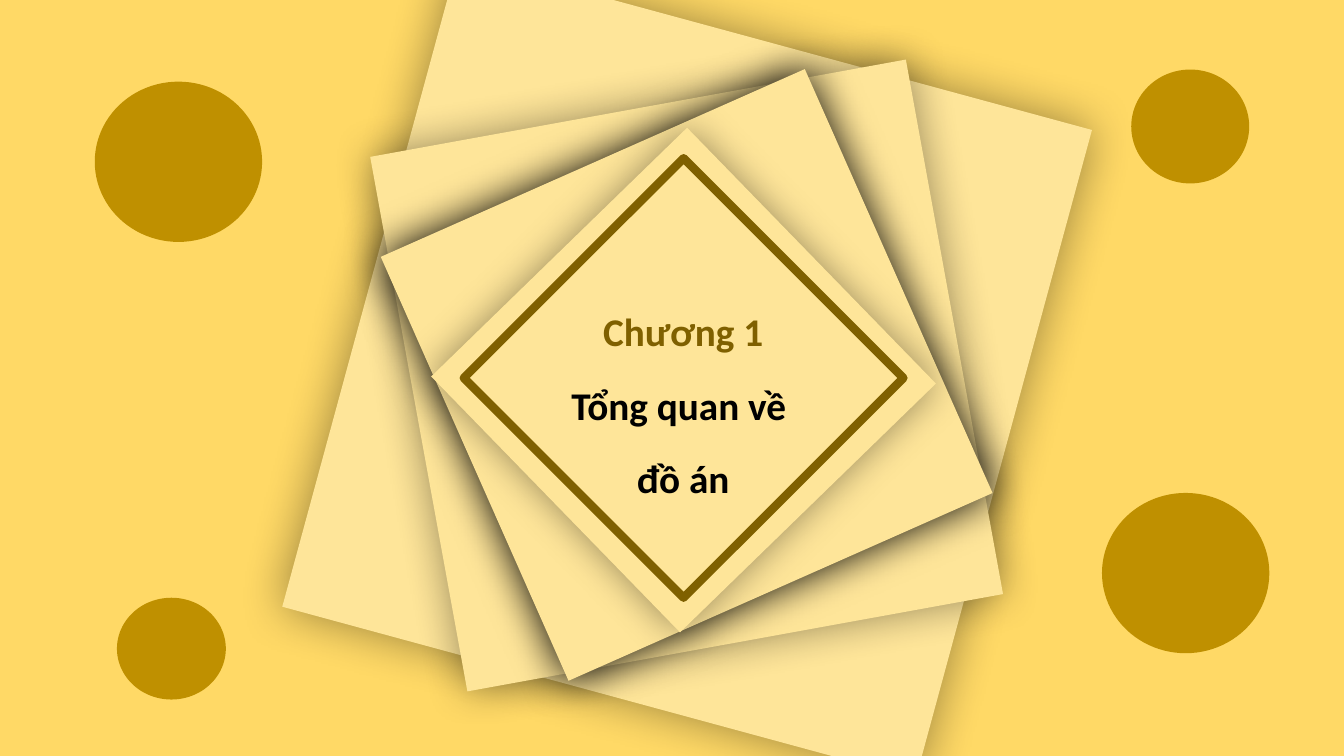
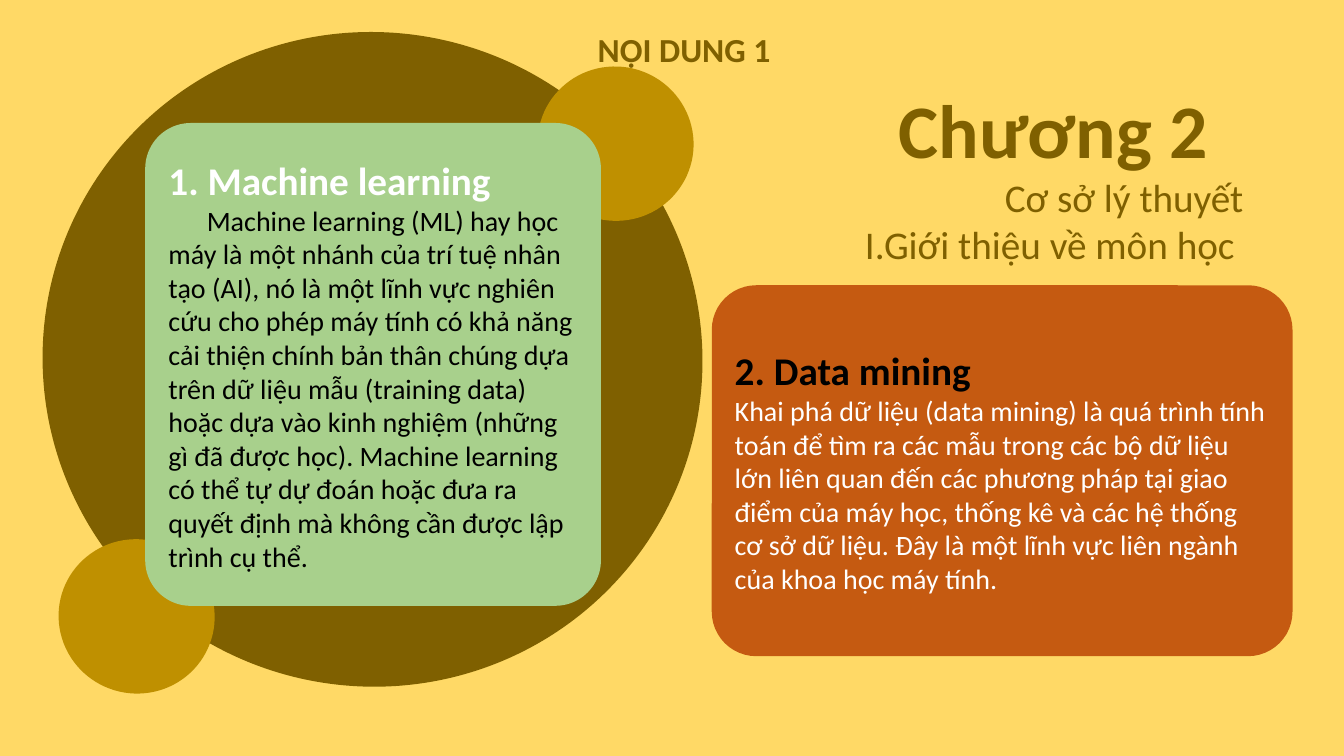
import dataclasses

import lxml.etree
import pptx
import pptx.dml.color
import pptx.enum.shapes
import pptx.enum.text
import pptx.oxml.ns
import pptx.util

Inches = pptx.util.Inches
Shape = pptx.enum.shapes.MSO_SHAPE
Align = pptx.enum.text.PP_ALIGN


@dataclasses.dataclass(frozen=True)
class Theme:
    font: str = "Calibri"
    background: str = "FFD966"
    paper: str = "FEE599"
    brown: str = "7F6000"
    gold: str = "BF9000"
    green: str = "A8D08C"
    orange: str = "C55A11"
    black: str = "000000"
    white: str = "FFFFFF"
    title_size: int = 54
    heading_size: int = 28
    label_size: int = 24
    body_size: int = 20


THEME = Theme()


@dataclasses.dataclass(frozen=True)
class Line:
    """One paragraph of text with its format."""
    text: str
    color: str = THEME.brown
    size: int = THEME.heading_size
    bold: bool = False
    align: Align = Align.LEFT
    spacing: float = 1.0
    before: int = 0
    indent: float = 0


def rgb(color):
    return pptx.dml.color.RGBColor.from_string(color)


def add_slide(presentation):
    slide = presentation.slides.add_slide(presentation.slide_layouts[6])
    slide.background.fill.solid()
    slide.background.fill.fore_color.rgb = rgb(THEME.background)
    return slide


def add_plain_shape(slide, kind, box, fill, rotation=0):
    shape = slide.shapes.add_shape(kind, *map(Inches, box))
    shape.rotation = rotation
    shape.shadow.inherit = False
    shape.line.fill.background()
    if fill:
        shape.fill.solid()
        shape.fill.fore_color.rgb = rgb(fill)
    else:
        shape.fill.background()
    return shape


def add_glow_shadow(shape, blur, opacity):
    """Give the shape a soft black shadow that spreads evenly on all sides."""
    qn = pptx.oxml.ns.qn
    effects = shape._element.spPr.find(qn("a:effectLst"))
    shadow = lxml.etree.SubElement(
        effects, qn("a:outerShdw"), blurRad=str(pptx.util.Pt(blur)),
        dist="0", dir="0", algn="ctr", rotWithShape="0")
    color = lxml.etree.SubElement(shadow, qn("a:srgbClr"), val=THEME.black)
    lxml.etree.SubElement(color, qn("a:alpha"), val=str(opacity * 1000))


def write_lines(text_frame, lines):
    text_frame.word_wrap = True
    for number, line in enumerate(lines):
        paragraph = text_frame.add_paragraph() if number else text_frame.paragraphs[0]
        paragraph.text = line.text
        paragraph.alignment = line.align
        paragraph.line_spacing = line.spacing
        paragraph.space_before = pptx.util.Pt(line.before)
        if line.indent:
            paragraph._p.get_or_add_pPr().set("indent", str(Inches(line.indent)))
        for run in paragraph.runs:
            run.font.name = THEME.font
            run.font.size = pptx.util.Pt(line.size)
            run.font.bold = line.bold
            run.font.color.rgb = rgb(line.color)


def add_text(slide, box, *lines):
    text_frame = slide.shapes.add_textbox(*map(Inches, box)).text_frame
    write_lines(text_frame, lines)
    text_frame.auto_size = pptx.enum.text.MSO_AUTO_SIZE.SHAPE_TO_FIT_TEXT


def add_card(slide, box, corner, fill, *lines):
    card = add_plain_shape(slide, Shape.ROUNDED_RECTANGLE, box, fill)
    card.adjustments[0] = corner
    card.text_frame.vertical_anchor = pptx.enum.text.MSO_ANCHOR.MIDDLE
    write_lines(card.text_frame, lines)


def build_chapter_slide(presentation):
    slide = add_slide(presentation)
    for box, rotation, blur, opacity in (
        ((3.56, 0.32, 6.51, 6.67), 15.2, 34, 40),
        ((4.11, 1.03, 5.4, 5.39), 349.7, 30, 40),
        ((4.51, 1.42, 4.6, 4.6), 66.1, 30, 100),
        ((5.01, 2, 3.54, 3.54), 315.8, 28, 40),
    ):
        sheet = add_plain_shape(slide, Shape.RECTANGLE, box, THEME.paper, rotation)
        add_glow_shadow(sheet, blur, opacity)

    frame = add_plain_shape(slide, Shape.DIAMOND, (4.6, 1.57, 4.36, 4.36), None, 90)
    frame.line.color.rgb = rgb(THEME.brown)
    frame.line.width = pptx.util.Pt(6)

    centred = dict(bold=True, align=Align.CENTER, spacing=1.2)
    add_text(slide, (5.3, 2.91, 2.95, 2.13),
             Line("Chương 1", **centred),
             Line("Tổng quan về ", THEME.black, before=12, **centred),
             Line("đồ án", THEME.black, before=12, **centred))

    for box in ((0.94, 0.81, 1.66, 1.59), (10.93, 4.89, 1.66, 1.59),
                (11.22, 0.69, 1.17, 1.13), (1.16, 5.93, 1.08, 1.01)):
        add_plain_shape(slide, Shape.OVAL, box, THEME.gold)


def build_theory_slide(presentation):
    slide = add_slide(presentation)
    add_text(slide, (5.5, 0.16, 2.57, 0.55),
             Line("NỘI DUNG 1", size=THEME.label_size, bold=True,
                  align=Align.CENTER, spacing=1.2))
    for box, fill in (((0.42, 0.32, 6.55, 6.49), THEME.brown),
                      ((5.33, 0.66, 1.55, 1.53), THEME.gold),
                      ((0.58, 5.35, 1.55, 1.53), THEME.gold)):
        add_plain_shape(slide, Shape.OVAL, box, fill, 196.8)

    add_text(slide, (8.07, 0.77, 4.75, 1.01),
             Line("Chương 2", size=THEME.title_size, bold=True, align=Align.CENTER))
    add_card(slide, (1.44, 1.22, 4.52, 4.79), 0.1, THEME.green,
             Line("1. Machine learning", THEME.white, bold=True),
             Line("Machine learning (ML) hay học máy là một nhánh của trí tuệ "
                  "nhân tạo (AI), nó là một lĩnh vực nghiên cứu cho phép máy tính "
                  "có khả năng cải thiện chính bản thân chúng dựa trên dữ liệu mẫu "
                  "(training data) hoặc dựa vào kinh nghiệm (những gì đã được học). "
                  "Machine learning có thể tự dự đoán hoặc đưa ra quyết định mà "
                  "không cần được lập trình cụ thể.",
                  THEME.black, THEME.body_size, indent=0.38))
    add_text(slide, (7.91, 1.67, 4.52, 1.04),
             Line("Cơ sở lý thuyết", align=Align.RIGHT),
             Line("I.Giới thiệu về môn học ", align=Align.RIGHT))
    add_card(slide, (7.06, 2.83, 5.76, 3.68), 0.12, THEME.orange,
             Line("2. Data mining", THEME.black, bold=True),
             Line("Khai phá dữ liệu (data mining) là quá trình tính toán để tìm ra "
                  "các mẫu trong các bộ dữ liệu lớn liên quan đến các phương pháp "
                  "tại giao điểm của máy học, thống kê và các hệ thống cơ sở dữ "
                  "liệu. Đây là một lĩnh vực liên ngành của khoa học máy tính.",
                  THEME.white, THEME.body_size))


def main():
    presentation = pptx.Presentation()
    presentation.slide_width = Inches(13.33)
    presentation.slide_height = Inches(7.5)
    build_chapter_slide(presentation)
    build_theory_slide(presentation)
    presentation.save("out.pptx")


if __name__ == "__main__":
    main()
